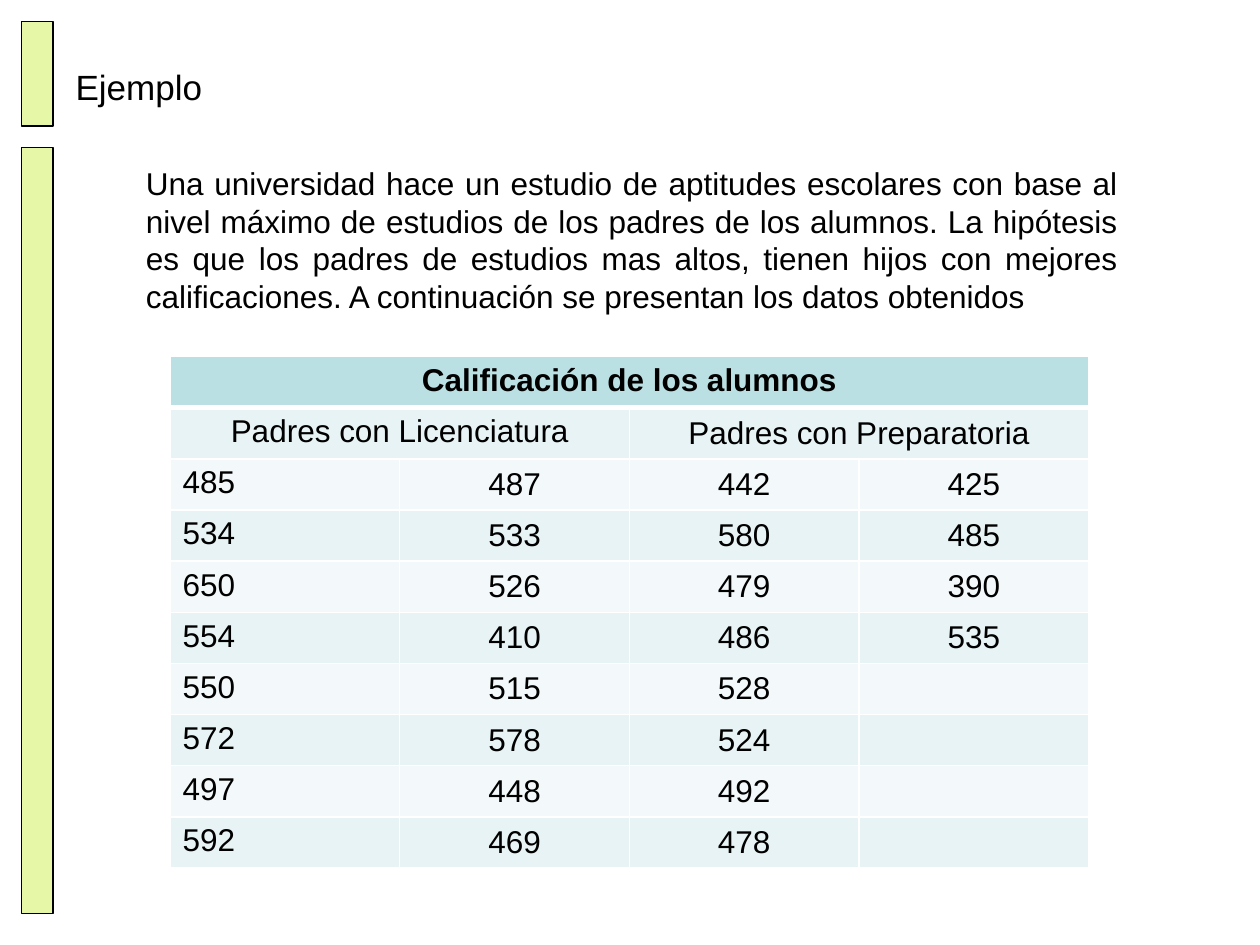
"""Build the slide comparing student scores by parents' level of studies."""
import lxml.etree
import pptx
import pptx.dml.color
import pptx.enum.shapes
import pptx.enum.text
import pptx.oxml.ns
import pptx.util

Inches, Pt = pptx.util.Inches, pptx.util.Pt
RGBColor = pptx.dml.color.RGBColor
ALIGN, ANCHOR = pptx.enum.text.PP_ALIGN, pptx.enum.text.MSO_ANCHOR
qn = pptx.oxml.ns.qn

BLACK = RGBColor(0x00, 0x00, 0x00)
WHITE = RGBColor(0xFF, 0xFF, 0xFF)
LIME = RGBColor(0xE6, 0xF7, 0xA7)
HEADER_FILL = RGBColor(0xBB, 0xE0, 0xE3)
BAND_FILLS = (RGBColor(0xF3, 0xF9, 0xFA), RGBColor(0xE7, 0xF3, 0xF4))

TITLE = "Ejemplo"
INTRO = (
    "Una universidad hace un estudio de aptitudes escolares con base al nivel máximo "
    "de estudios de los padres de los alumnos. La hipótesis es que los padres de "
    "estudios mas altos, tienen hijos con mejores calificaciones. A continuación se "
    "presentan los datos obtenidos"
)
TABLE_TITLE = "Calificación de los alumnos"
GROUPS = ("Padres con Licenciatura", "Padres con Preparatoria")
SCORE_COLUMNS = (
    (485, 534, 650, 554, 550, 572, 497, 592),
    (487, 533, 526, 410, 515, 578, 448, 469),
    (442, 580, 479, 486, 528, 524, 492, 478),
    (425, 485, 390, 535),
)
SIDE_BARS = ((1.17, 6.08), (0.17, 0.83))
TABLE_BOX = (1.35, 2.83, 7.29, 4.06)


def format_text(text_frame, size, alignment, bold=False):
    for paragraph in text_frame.paragraphs:
        paragraph.alignment = alignment
        for run in paragraph.runs:
            run.font.name = "Arial"
            run.font.size = Pt(size)
            run.font.bold = bold
            run.font.color.rgb = BLACK


def add_side_bar(slide, top, height):
    bar = slide.shapes.add_shape(
        pptx.enum.shapes.MSO_SHAPE.RECTANGLE,
        Inches(0.17), Inches(top), Inches(0.25), Inches(height))
    bar.shadow.inherit = False
    bar.fill.solid()
    bar.fill.fore_color.rgb = LIME
    bar.line.color.rgb = BLACK
    bar.line.width = Pt(0.75)


def set_borders(cell, row):
    widths = {"lnL": 1, "lnR": 1, "lnT": 3 if row == 1 else 1, "lnB": 3 if row == 0 else 1}
    properties = cell._tc.get_or_add_tcPr()
    for position, (side, width) in enumerate(widths.items()):
        line = lxml.etree.Element(qn(f"a:{side}"), w=str(Pt(width)))
        fill = lxml.etree.SubElement(line, qn("a:solidFill"))
        lxml.etree.SubElement(fill, qn("a:srgbClr"), val=str(WHITE))
        properties.insert(position, line)


def add_score_table(slide):
    row_count = 2 + max(len(scores) for scores in SCORE_COLUMNS)
    column_count = len(SCORE_COLUMNS)
    table = slide.shapes.add_table(row_count, column_count, *map(Inches, TABLE_BOX)).table

    table.cell(0, 0).merge(table.cell(0, column_count - 1))
    table.cell(0, 0).text_frame.text = TABLE_TITLE
    for index, group in enumerate(GROUPS):
        first = table.cell(1, 2 * index)
        first.merge(table.cell(1, 2 * index + 1))
        first.text_frame.text = group
    for column, scores in enumerate(SCORE_COLUMNS):
        for row, score in enumerate(scores, start=2):
            table.cell(row, column).text_frame.text = str(score)

    for row in range(row_count):
        for column in range(column_count):
            cell = table.cell(row, column)
            cell.fill.solid()
            cell.fill.fore_color.rgb = HEADER_FILL if row == 0 else BAND_FILLS[row % 2]
            set_borders(cell, row)
            at_top = row == 0 or column == 0
            cell.vertical_anchor = ANCHOR.TOP if at_top else ANCHOR.MIDDLE
            at_left = row > 1 and column == 0
            format_text(cell.text_frame, 18, ALIGN.LEFT if at_left else ALIGN.CENTER, row == 0)


def main():
    presentation = pptx.Presentation()
    presentation.slide_width, presentation.slide_height = Inches(10), Inches(7.5)
    slide = presentation.slides.add_slide(presentation.slide_layouts[5])

    for top, height in SIDE_BARS:
        add_side_bar(slide, top, height)

    title = slide.shapes.title
    title.left, title.top, title.width, title.height = map(Inches, (0.5, 0.3, 9, 0.78))
    title.text_frame.text = TITLE
    title.text_frame.vertical_anchor = ANCHOR.MIDDLE
    format_text(title.text_frame, 20, ALIGN.LEFT)

    intro = slide.shapes.add_textbox(*map(Inches, (1.06, 1.25, 7.91, 1.62)))
    intro.text_frame.word_wrap = True
    intro.text_frame.text = INTRO
    format_text(intro.text_frame, 18, ALIGN.JUSTIFY)

    add_score_table(slide)
    presentation.save("out.pptx")


if __name__ == "__main__":
    main()
